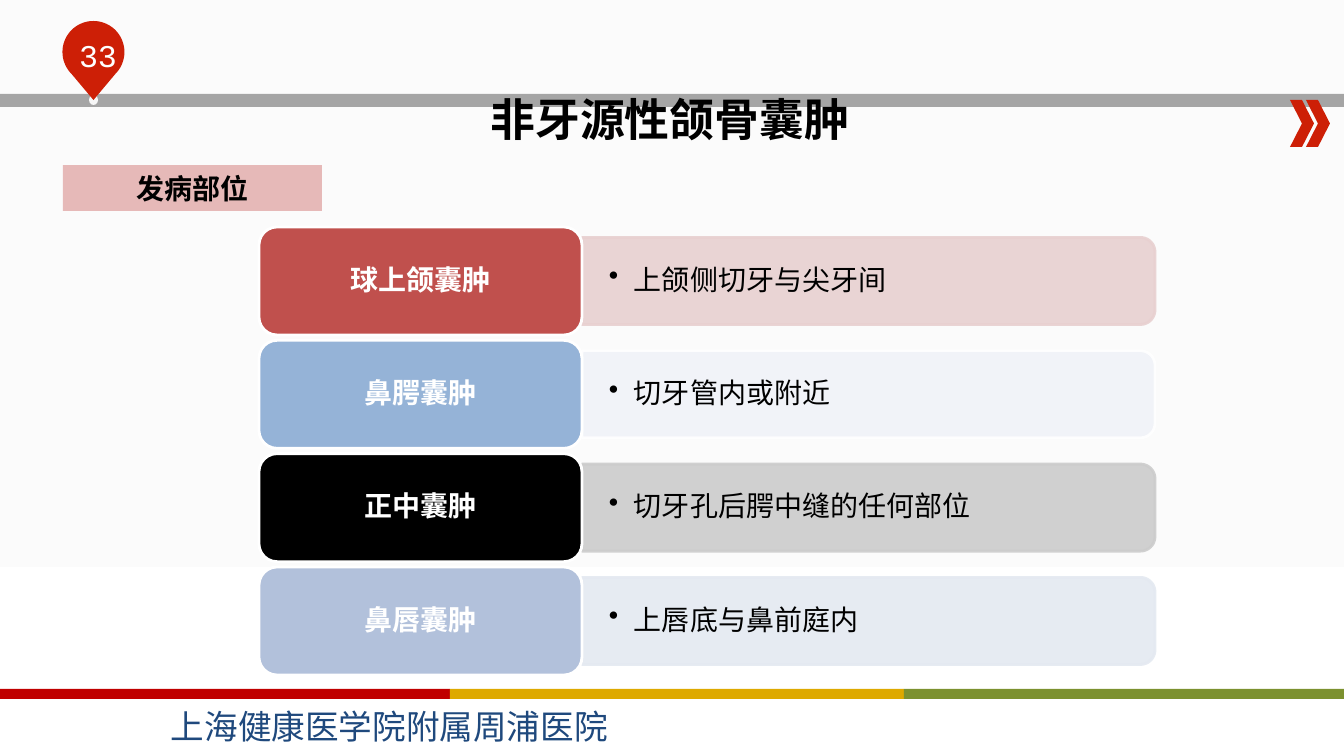
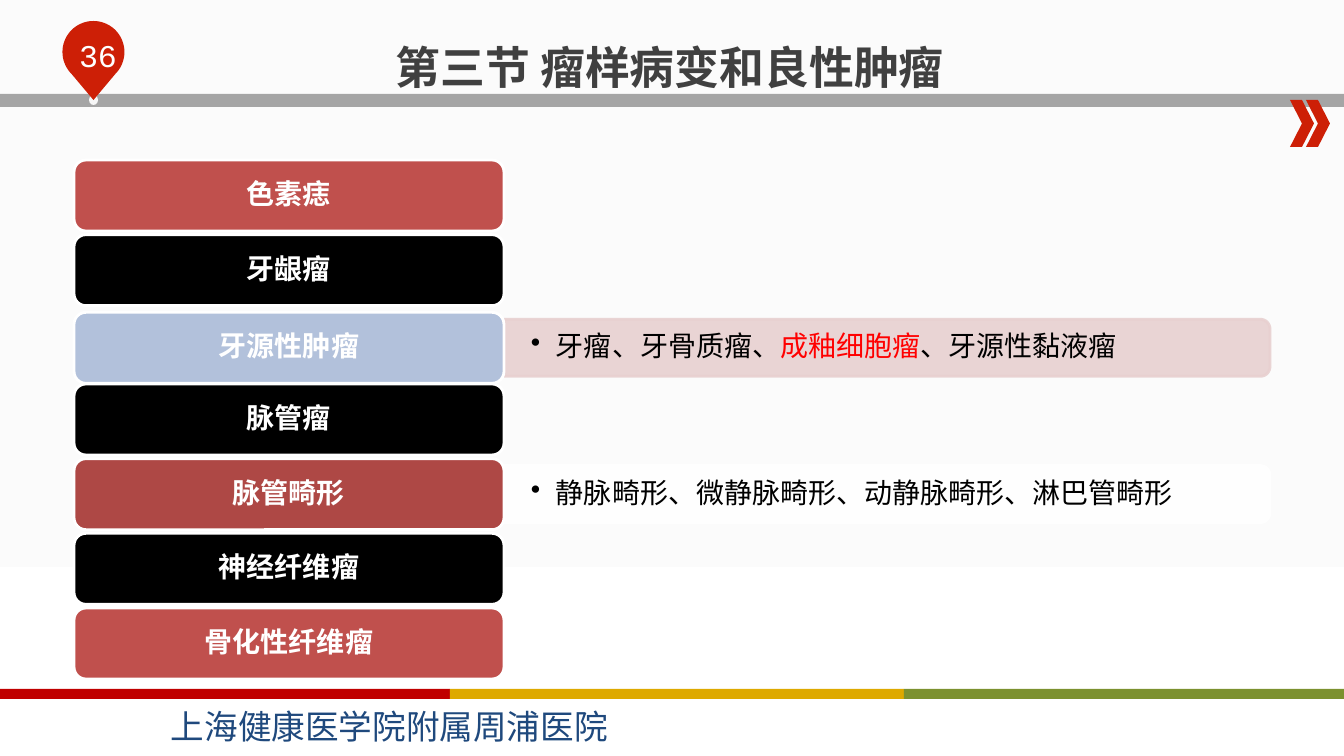
import math

import pptx
import pptx.dml.color
import pptx.enum.shapes
import pptx.enum.text
import pptx.oxml.ns
import pptx.util
from lxml import etree

SHAPE = pptx.enum.shapes.MSO_SHAPE
ALIGN = pptx.enum.text.PP_ALIGN
ANCHOR = pptx.enum.text.MSO_ANCHOR
PX = 914400 / 100.8
W, H = 1344, 756

CJK = "Noto Sans CJK SC"
SERIF = "Times New Roman"
RED, BLACK, WHITE, BLUE = "C0504D", "000000", "FFFFFF", "B2C1DB"
PIN_RED, PINK = "CD1F06", "E8D0D0"

HOSPITAL = "上海健康医学院附属周浦医院"
BANDS = [(0, 450, "C00000"), (450, 904, "DEA900"), (904, W, "7C912F")]

TITLE = dict(size=32, name=SERIF, bold=True)
TAG = dict(size=20, name=SERIF, bold=True, color=BLACK)
LABEL = dict(size=20, name=SERIF, bold=True, color=WHITE)
DETAIL = dict(size=20, name=SERIF, color=BLACK)
FOOTER = dict(size=24, name=CJK, color="1F497D")
NUMBER = dict(size=22.6, name="Courier New", color=WHITE)

# A row is label, label fill, then detail runs, detail fill and detail line.
SLIDES = [
    dict(
        number="33", title="非牙源性颌骨囊肿", title_top=86, title_color=BLACK,
        tag="发病部位",
        label_box=(259, 323, 108), detail_size=(573, 87), tops=(227, 567), nudge={},
        rows=[
            ("球上颌囊肿", RED, [("上颌侧切牙与尖牙间", BLACK)], PINK, PINK),
            ("鼻腭囊肿", "95B3D7", [("切牙管内或附近", BLACK)], "F0F3F8", WHITE),
            ("正中囊肿", BLACK, [("切牙孔后腭中缝的任何部位", BLACK)], "CCCCCC", "CCCCCC"),
            ("鼻唇囊肿", BLUE, [("上唇底与鼻前庭内", BLACK)], "E4E9F1", "E4E9F1"),
        ],
    ),
    dict(
        number="36", title="第三节 瘤样病变和良性肿瘤", title_top=34, title_color="404040",
        tag=None,
        label_box=(74, 430, 71), detail_size=(766, 57), tops=(160, 608), nudge={2: 3},
        rows=[
            ("色素痣", RED, None, None, None),
            ("牙龈瘤", BLACK, None, None, None),
            ("牙源性肿瘤", BLUE,
             [("牙瘤、牙骨质瘤、", BLACK), ("成釉细胞瘤", "FF0000"), ("、牙源性黏液瘤", BLACK)],
             PINK, PINK),
            ("脉管瘤", BLACK, None, None, None),
            ("脉管畸形", "AE4845",
             [("静脉畸形、微静脉畸形、动静脉畸形、淋巴管畸形", BLACK)], WHITE, WHITE),
            ("神经纤维瘤", BLACK, None, None, None),
            ("骨化性纤维瘤", RED, None, None, None),
        ],
    ),
]


def emu(px):
    return pptx.util.Emu(round(px * PX))


def rgb(code):
    return pptx.dml.color.RGBColor.from_string(code)


def sub(parent, tag, **attrs):
    return etree.SubElement(parent, pptx.oxml.ns.qn(tag), **attrs)


def paint(sp, fill, line=None, opacity=100):
    sp.shadow.inherit = False
    sp.fill.solid()
    sp.fill.fore_color.rgb = rgb(fill)
    if line:
        sp.line.color.rgb = rgb(line)
        sp.line.width = pptx.util.Pt(2)
    else:
        sp.line.fill.background()
    if opacity < 100:
        for color in sp._element.spPr.iter(pptx.oxml.ns.qn("a:srgbClr")):
            sub(color, "a:alpha", val=str(opacity * 1000))
    return sp


def shape(s, kind, x, y, w, h, fill, line=None):
    return paint(s.shapes.add_shape(kind, emu(x), emu(y), emu(w), emu(h)), fill, line)


def arc(cx, cy, radius, start, end):
    """Points on a circle, in degrees clockwise from the right."""
    steps = max(8, round(abs(end - start) / 5))
    angles = [math.radians(start + (end - start) * i / steps) for i in range(steps + 1)]
    return [(cx + radius * math.cos(a), cy + radius * math.sin(a)) for a in angles]


def outline(s, points):
    first, *rest = [(emu(x), emu(y)) for x, y in points]
    builder = s.shapes.build_freeform(*first, scale=1.0)
    builder.add_line_segments(rest, close=True)
    return builder.convert_to_shape()


def write(sp, runs, style, align=ALIGN.CENTER, left=0, spacing=None, bullet=False, wrap=True):
    """Fill a shape with one paragraph of (text, colour) runs, centred in height."""
    tf = sp.text_frame
    frame = dict(word_wrap=wrap, vertical_anchor=ANCHOR.MIDDLE, margin_left=emu(left),
                 margin_right=0, margin_top=0, margin_bottom=0)
    for key, value in frame.items():
        setattr(tf, key, value)
    p = tf.paragraphs[0]
    p.alignment = align
    if spacing:
        p.line_spacing = spacing
    if bullet:
        pPr = p._p.get_or_add_pPr()
        pPr.set("marL", str(emu(25)))
        pPr.set("indent", str(-emu(25)))
        sub(pPr, "a:buChar", char="•")
    for text, color in runs:
        r = p.add_run()
        r.text = text
        for key, value in style.items():
            if key != "color":
                setattr(r.font, key, pptx.util.Pt(value) if key == "size" else value)
        r.font.color.rgb = rgb(color)
        sub(r._r.get_or_add_rPr(), "a:ea", typeface=CJK)


def text(s, x, y, w, h, words, style, **options):
    sp = s.shapes.add_textbox(emu(x), emu(y), emu(w), emu(h))
    write(sp, [(words, style["color"])], style, **options)


def frame_slide(s, number):
    """Background, top bar, page pin, chevrons, colour bands and footer."""
    fill = s.background.fill
    fill.gradient()
    fill.gradient_angle = 270
    for stop, position, color in zip(fill.gradient_stops, (0.5, 1), ("FBFBFB", WHITE)):
        stop.position = position
        stop.color.rgb = rgb(color)
    shape(s, SHAPE.RECTANGLE, 0, 94, W, 13, "A5A5A5")
    for x in (1290, 1306):
        shape(s, SHAPE.CHEVRON, x, 100, 24, 47, PIN_RED)
    shape(s, SHAPE.OVAL, 89, 95, 9, 10, "F6F6F6")
    paint(outline(s, arc(93.5, 52, 31, 45, -225) + [(93.5, 100)]), PIN_RED)
    text(s, 54, 35, 88, 40, number, NUMBER)
    for left, right, color in BANDS:
        shape(s, SHAPE.RECTANGLE, left, 689, right - left, 10, color)
    text(s, 160, 701, 457, 50, HOSPITAL, FOOTER, align=ALIGN.LEFT, left=11, wrap=False)


def detail_bar(s, x, y, w, h, runs, fill, line):
    """A bar rounded at its right end only."""
    radius = h / 6
    right = x + w - radius
    points = ([(x, y)] + arc(right, y + radius, radius, -90, 0)
              + arc(right, y + h - radius, radius, 0, 90) + [(x, y + h)])
    sp = paint(outline(s, points), fill, line, opacity=90)
    write(sp, runs, DETAIL, align=ALIGN.LEFT, left=27, spacing=0.9, bullet=True)


def add_rows(s, page):
    x, w, h = page["label_box"]
    detail_w, detail_h = page["detail_size"]
    first, last = page["tops"]
    pitch = (last - first) / (len(page["rows"]) - 1)
    for i, (label, fill, runs, detail_fill, detail_line) in enumerate(page["rows"]):
        y = first + i * pitch + page["nudge"].get(i, 0)
        if runs:
            detail_bar(s, x + w, y + (h - detail_h) / 2, detail_w, detail_h,
                       runs, detail_fill, detail_line)
        sp = shape(s, SHAPE.ROUNDED_RECTANGLE, x, y, w, h, fill, WHITE)
        write(sp, [(label, LABEL["color"])], LABEL, spacing=0.9)


def main():
    prs = pptx.Presentation()
    prs.slide_width, prs.slide_height = emu(W), emu(H)
    for page in SLIDES:
        s = prs.slides.add_slide(prs.slide_layouts[6])
        frame_slide(s, page["number"])
        text(s, 100, page["title_top"], 1140, 66, page["title"],
             dict(TITLE, color=page["title_color"]))
        if page["tag"]:
            sp = shape(s, SHAPE.RECTANGLE, 63, 165, 259, 46, "E6B9B8")
            write(sp, [(page["tag"], TAG["color"])], TAG)
        add_rows(s, page)
    prs.save("out.pptx")


if __name__ == "__main__":
    main()
